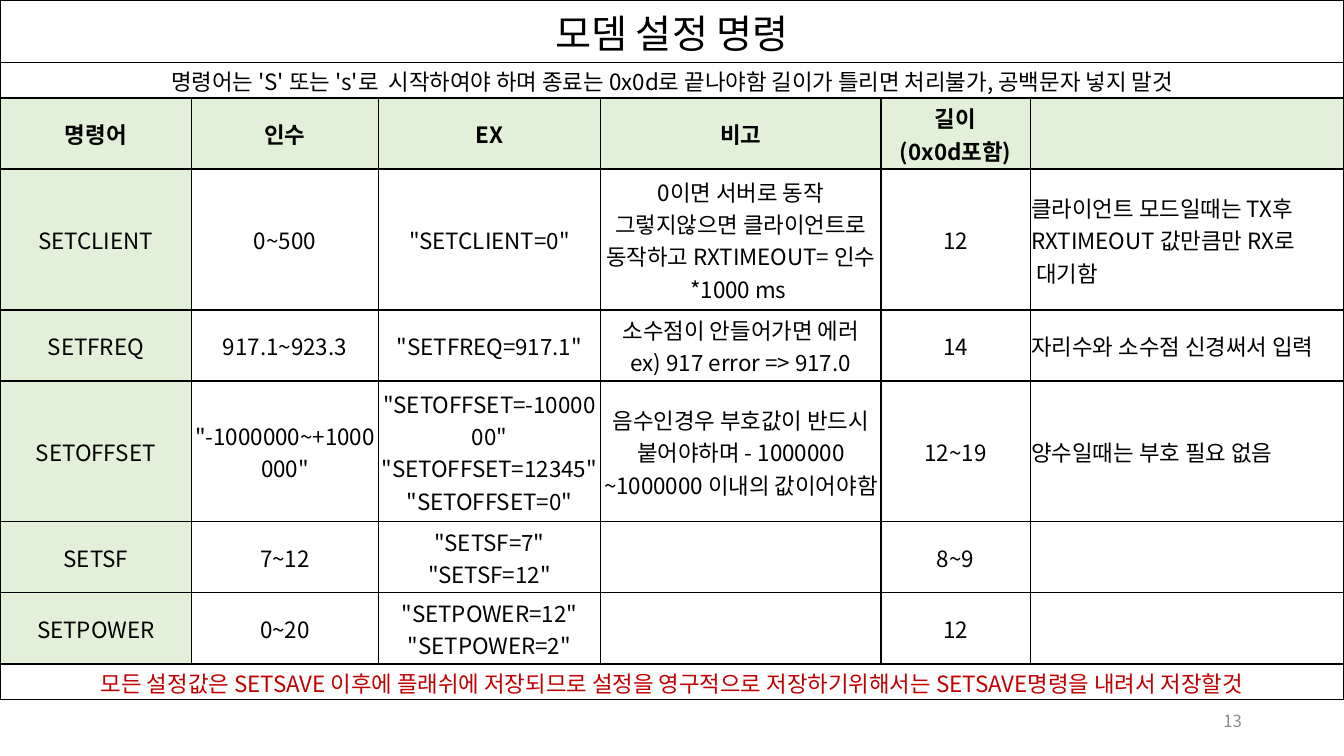
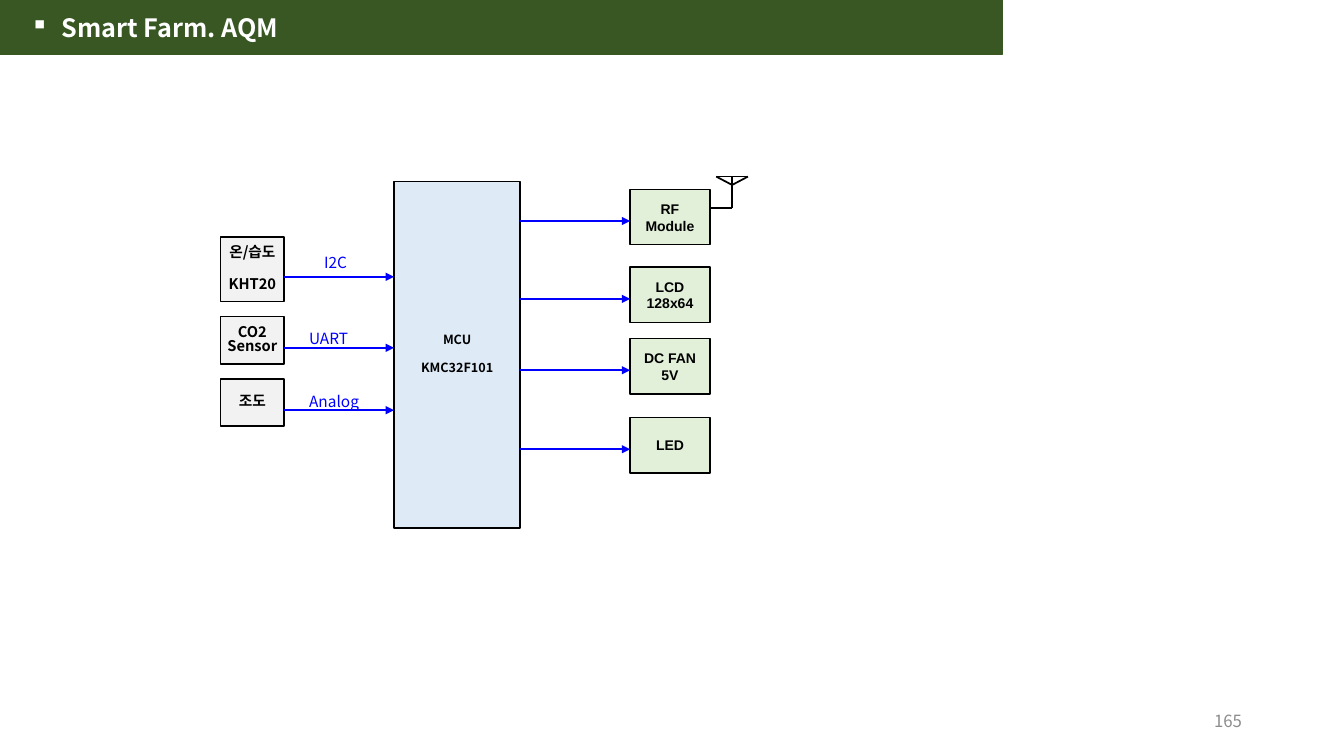
from lxml import etree
from pptx import Presentation
from pptx.dml.color import RGBColor
from pptx.enum.shapes import MSO_CONNECTOR, MSO_SHAPE
from pptx.enum.text import MSO_ANCHOR, MSO_AUTO_SIZE, PP_ALIGN
from pptx.oxml.ns import qn
from pptx.util import Cm, Pt

LEFT, CENTER, RIGHT = PP_ALIGN.LEFT, PP_ALIGN.CENTER, PP_ALIGN.RIGHT
MIDDLE = MSO_ANCHOR.MIDDLE
STRAIGHT = MSO_CONNECTOR.STRAIGHT
RECTANGLE = MSO_SHAPE.RECTANGLE
NO_AUTOFIT, GROW = MSO_AUTO_SIZE.NONE, MSO_AUTO_SIZE.SHAPE_TO_FIT_TEXT

KOREAN, LATIN = "Noto Sans CJK KR", "Arial"
COLORS = {name: RGBColor.from_string(value) for name, value in {
    "black": "000000", "white": "FFFFFF", "number": "8C8C8C",
    "warning": "C00000", "band": "385723", "green": "E2F0D9",
    "gray": "F2F2F2", "sky": "DEEBF7", "signal": "0000FF"}.items()}


def write(frame, text, size, color="black", bold=False, align=CENTER, font=KOREAN):
    frame.text = text
    for paragraph in frame.paragraphs:
        paragraph.alignment = align
        for run in paragraph.runs:
            run.font.size = Pt(size)
            run.font.bold = bold
            run.font.name = font
            run.font.color.rgb = COLORS[color]
            east_asian = etree.SubElement(run.font._element, qn("a:ea"))
            east_asian.set("typeface", font)


def draw_line(shapes, x1, y1, x2, y2, color, width, arrow=False):
    connector = shapes.add_connector(STRAIGHT, Cm(x1), Cm(y1), Cm(x2), Cm(y2))
    connector.line.color.rgb = COLORS[color]
    connector.line.width = Pt(width)
    if arrow:
        etree.SubElement(connector.line._get_or_add_ln(), qn("a:tailEnd"), type="triangle")
    etree.SubElement(connector._element.spPr, qn("a:effectLst"))


prs = Presentation()
prs.slide_width, prs.slide_height = Cm(33.87), Cm(19.05)
title_only, blank = prs.slide_layouts[5], prs.slide_layouts[6]
command_slide = prs.slides.add_slide(blank)
diagram_slide = prs.slides.add_slide(title_only)

# Page numbers
for slide, number in ((command_slide, "13"), (diagram_slide, "165")):
    page_number = slide.shapes.add_textbox(Cm(23.93), Cm(17.65), Cm(7.62), Cm(1.02)).text_frame
    page_number.word_wrap = True
    page_number.vertical_anchor = MIDDLE
    write(page_number, number, 12, "number", align=RIGHT)

# Slide 1: modem commands
column_widths = [4.83, 4.7, 5.61, 7.06, 3.76, 7.91]
row_heights = [1.57, 0.9, 1.79, 3.55, 1.79, 3.55, 1.79, 1.79, 0.9]
commands = [
    ["모뎀 설정 명령"],
    ["명령어는 'S' 또는 's'로  시작하여야 하며 종료는 0x0d로 끝나야함 "
     "길이가 틀리면 처리불가, 공백문자 넣지 말것"],
    ["명령어", "인수", "EX", "비고", "길이\n(0x0d포함)", ""],
    ["SETCLIENT", "0~500", '"SETCLIENT=0"',
     "0이면 서버로 동작\n그렇지않으면 클라이언트로 동작하고 RXTIMEOUT= 인수 *1000 ms ",
     "12", "클라이언트 모드일때는 TX후 RXTIMEOUT 값만큼만 RX로\n 대기함"],
    ["SETFREQ", "917.1~923.3", '"SETFREQ=917.1"',
     "소수점이 안들어가면 에러\nex) 917 error => 917.0",
     "14", "자리수와 소수점 신경써서 입력"],
    ["SETOFFSET", '"-1000000~+1000000"',
     '"SETOFFSET=-1000000"\n"SETOFFSET=12345"\n"SETOFFSET=0"',
     "음수인경우 부호값이 반드시 붙어야하며 - 1000000 ~1000000 이내의 값이어야함",
     "12~19", "양수일때는 부호 필요 없음"],
    ["SETSF", "7~12", '"SETSF=7"\n"SETSF=12"', "", "8~9", ""],
    ["SETPOWER", "0~20", '"SETPOWER=12"\n"SETPOWER=2"', "", "12", ""],
    ["모든 설정값은 SETSAVE 이후에 플래쉬에 저장되므로 설정을 영구적으로 "
     "저장하기위해서는 SETSAVE명령을 내려서 저장할것"],
]
header_row, last_row, last_column = 2, len(commands) - 1, len(column_widths) - 1

command_table = command_slide.shapes.add_table(
    len(row_heights), len(column_widths), Cm(0), Cm(0),
    Cm(sum(column_widths)), Cm(sum(row_heights))).table
command_table.first_row = command_table.horz_banding = False
for column, width in zip(command_table.columns, column_widths):
    column.width = Cm(width)
for row, height in zip(command_table.rows, row_heights):
    row.height = Cm(height)

for r, texts in enumerate(commands):
    if len(texts) == 1:
        command_table.cell(r, 0).merge(command_table.cell(r, last_column))
    for c in range(len(column_widths)):
        cell = command_table.cell(r, c)
        cell.margin_left = cell.margin_right = cell.margin_top = Cm(0.03)
        cell.margin_bottom = 0
        cell.vertical_anchor = MIDDLE
        for side in ("lnL", "lnR", "lnT", "lnB"):
            border = etree.SubElement(cell._tc.get_or_add_tcPr(), qn(f"a:{side}"), w=str(Pt(1)))
            border_fill = etree.SubElement(border, qn("a:solidFill"))
            etree.SubElement(border_fill, qn("a:srgbClr"), val=str(COLORS["black"]))
        if r == header_row or (c == 0 and len(texts) > 1):
            cell.fill.solid()
            cell.fill.fore_color.rgb = COLORS["green"]
        else:
            cell.fill.background()
        if c < len(texts):
            write(cell.text_frame, texts[c], 28 if r == 0 else 16,
                  "warning" if r == last_row else "black", r == header_row,
                  LEFT if c == last_column else CENTER)

# Slide 2: title band
title = diagram_slide.shapes.title
title.left, title.top, title.width, title.height = Cm(0), Cm(0), Cm(25.25), Cm(1.37)
title.fill.solid()
title.fill.fore_color.rgb = title.line.color.rgb = COLORS["band"]
title.line.width = Pt(1)
title.text_frame.auto_size = NO_AUTOFIT
title.text_frame.vertical_anchor = MIDDLE
write(title.text_frame, "Smart Farm. AQM", 18, "white", True, LEFT)
title_properties = title.text_frame.paragraphs[0]._p.get_or_add_pPr()
title_properties.set("marL", str(Cm(1.3)))
title_properties.set("indent", str(Cm(-0.79)))
etree.SubElement(title_properties, qn("a:buChar"), char="▪")

# Block geometry: sensors, controller, outputs
sensor_left, sensor_width = 5.56, 1.6
mcu_left, mcu_width = 9.93, 3.18
output_left, output_width, output_height = 15.88, 2.01, 1.4
sensor_right = sensor_left + sensor_width
mcu_right = mcu_left + mcu_width
output_right = output_left + output_width

# Text, top, height, gap between lines, then signal name, left, top, width
sensors = [
    ("온/습도\nKHT20", 5.97, 1.63, 12.5, "I2C", 7.92, 6.25, 1.12),
    ("CO2\nSensor", 7.98, 1.19, 0, "UART", 7.54, 8.18, 1.5),
    ("조도", 9.55, 1.19, 0, "Analog", 7.54, 9.75, 1.78),
]
outputs = [("RF\nModule", 4.77), ("LCD\n128x64", 6.73), ("DC FAN\n5V", 8.53), ("LED", 10.52)]

blocks = [("MCU\nKMC32F101", mcu_left, 4.57, mcu_width, 8.74, "sky", 9, KOREAN, 10.7)]
for text, top, height, gap, *_ in sensors:
    blocks.append((text, sensor_left, top, sensor_width, height, "gray", 10.5, KOREAN, gap))
for text, top in outputs:
    blocks.append((text, output_left, top, output_width, output_height, "green", 10, LATIN, 0))

for text, left, top, width, height, fill, size, font, gap in blocks:
    block = diagram_slide.shapes.add_shape(RECTANGLE, Cm(left), Cm(top), Cm(width), Cm(height))
    block.shadow.inherit = False
    block.fill.solid()
    block.fill.fore_color.rgb = COLORS[fill]
    block.line.color.rgb = COLORS["black"]
    block.line.width = Pt(1)
    frame = block.text_frame
    frame.vertical_anchor = MIDDLE
    write(frame, text, size, bold=True, font=font)
    if font == KOREAN:
        frame.margin_left = frame.margin_right = 0
        for paragraph in frame.paragraphs:
            paragraph.line_spacing = 0.82
    if gap:
        frame.paragraphs[1].space_before = Pt(gap)

# Sensor signals into the controller
for _, top, height, _, signal, label_left, label_top, label_width in sensors:
    y = top + height / 2 + 0.19
    draw_line(diagram_slide.shapes, sensor_right, y, mcu_left, y, "signal", 1.5, True)
    label = diagram_slide.shapes.add_textbox(
        Cm(label_left), Cm(label_top), Cm(label_width), Cm(0.73)).text_frame
    label.word_wrap = False
    label.auto_size = GROW
    write(label, signal, 11, "signal", align=LEFT)

# Controller signals to the outputs
for _, top in outputs:
    y = top + output_height / 2 + 0.1
    draw_line(diagram_slide.shapes, mcu_right, y, output_left, y, "signal", 1.5, True)

# Antenna of the RF module
mast_x, antenna_top, antenna_tip, antenna_foot = 18.45, 4.45, 4.66, 5.25
antenna = diagram_slide.shapes.add_group_shape()
for x1, y1, x2, y2 in (
        (mast_x, antenna_top, mast_x, antenna_foot),
        (mast_x - 0.4, antenna_top, mast_x + 0.4, antenna_top),
        (mast_x, antenna_tip, mast_x + 0.4, antenna_top),
        (mast_x - 0.4, antenna_top, mast_x, antenna_tip),
        (output_right, antenna_foot, mast_x, antenna_foot)):
    draw_line(antenna.shapes, x1, y1, x2, y2, "black", 1.25)

prs.save("out.pptx")
